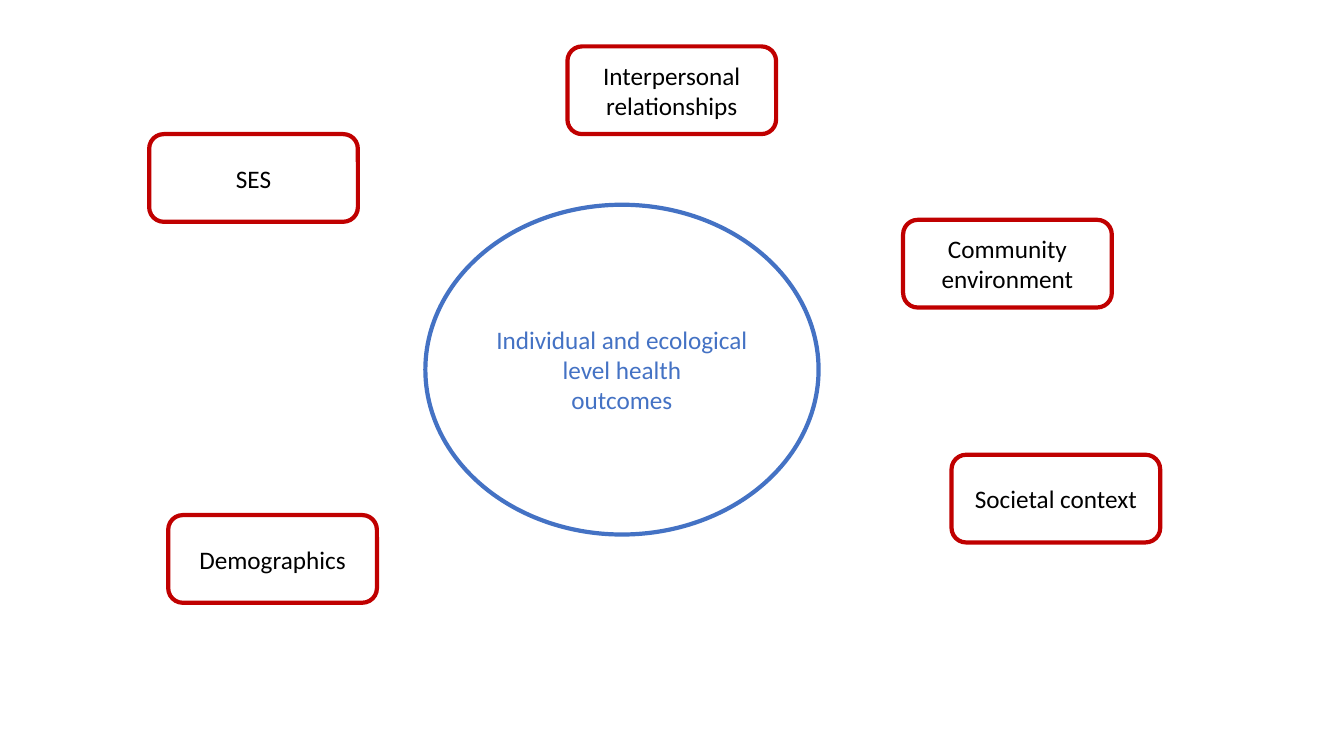
"""Build a slide of factors placed around health outcomes."""
from pptx import Presentation
from pptx.dml.color import RGBColor
from pptx.enum.shapes import MSO_SHAPE as Shape
from pptx.enum.text import MSO_ANCHOR as Anchor, PP_ALIGN as Align
from pptx.util import Cm, Pt

BLUE, RED, BLACK, WHITE = "4472C4", "C00000", "000000", "FFFFFF"
FACTOR_SIZE = (5.26, 2.21)
FACTORS = {
    "SES": (3.76, 3.38),
    "Demographics": (4.24, 12.98),
    "Interpersonal relationships": (14.3, 1.17),
    "Community environment": (22.76, 5.54),
    "Societal context": (23.98, 11.46),
}


def color(value):
    """Turn a hex string into a colour."""
    return RGBColor.from_string(value)


def write(frame, text, size=18, font="Calibri", ink=BLACK, align=Align.CENTER):
    """Fill a text frame with one paragraph per line of text."""
    frame.word_wrap = True
    frame.vertical_anchor = Anchor.MIDDLE
    for index, line in enumerate(text.split("\n")):
        para = frame.add_paragraph() if index else frame.paragraphs[0]
        para.alignment = align
        span = para.add_run()
        span.text = line
        span.font.size = Pt(size)
        span.font.name = font
        span.font.color.rgb = color(ink)


def add_outlined(page, kind, box, text, outline, ink):
    """Add a white outlined shape with centred text in the given box."""
    shape = page.shapes.add_shape(kind, *map(Cm, box))
    shape.shadow.inherit = False
    shape.fill.solid()
    shape.fill.fore_color.rgb = color(WHITE)
    shape.line.color.rgb = color(outline)
    shape.line.width = Pt(3)
    write(shape.text_frame, text, ink=ink)


def add_outcomes(page, box):
    """Add the central ellipse of health outcomes."""
    text = "Individual and ecological level health\noutcomes"
    add_outlined(page, Shape.OVAL, box, text, BLUE, BLUE)


def add_factors(page):
    """Add the factor boxes around the centre."""
    for name, corner in FACTORS.items():
        add_outlined(page, Shape.ROUNDED_RECTANGLE, corner + FACTOR_SIZE,
                     name, RED, BLACK)


def main():
    """Build and save the deck."""
    deck = Presentation()
    deck.slide_width, deck.slide_height = Cm(33.87), Cm(19.05)
    page = deck.slides.add_slide(deck.slide_layouts[6])
    add_outcomes(page, (10.72, 5.16, 9.91, 8.31))
    add_factors(page)
    deck.save("out.pptx")


if __name__ == "__main__":
    main()
